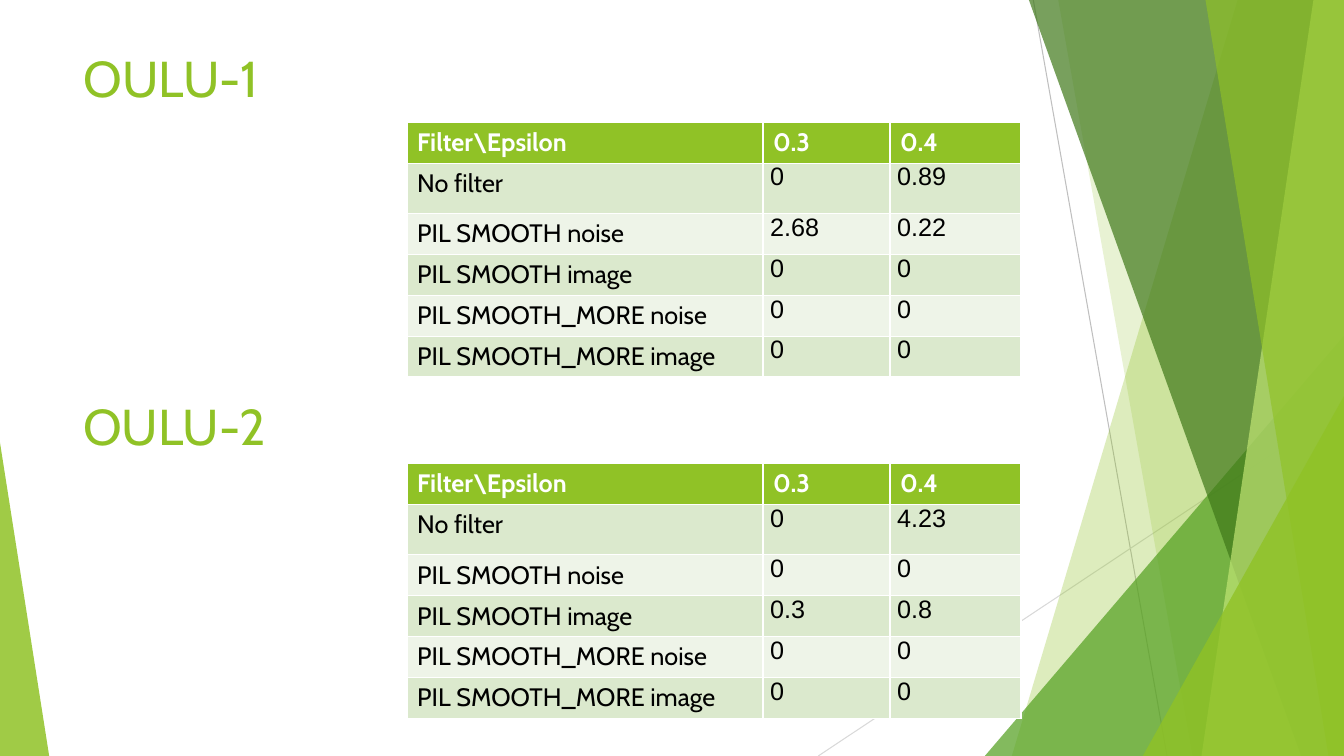
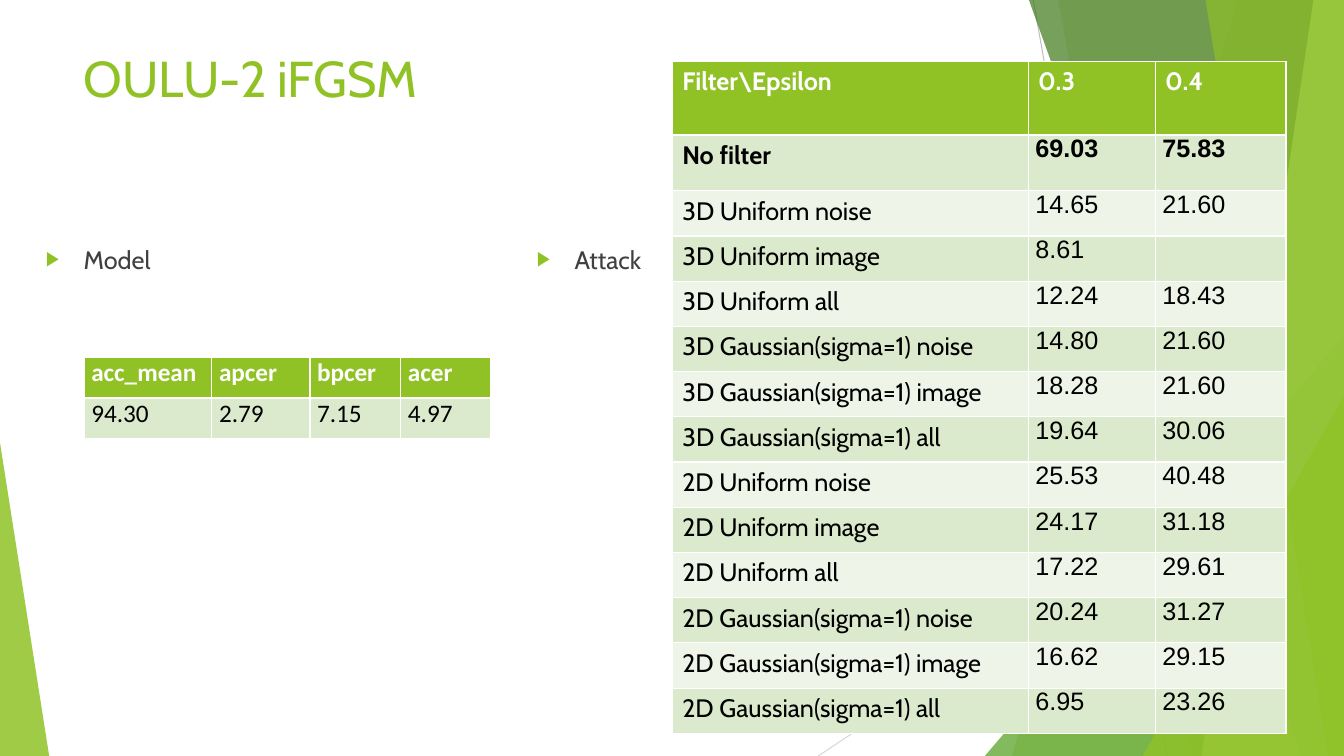
from lxml import etree
from pptx import Presentation
from pptx.dml.color import RGBColor
from pptx.enum.shapes import MSO_CONNECTOR, MSO_SHAPE
from pptx.enum.text import MSO_ANCHOR, MSO_AUTO_SIZE, PP_ALIGN
from pptx.oxml.ns import qn
from pptx.util import Cm, Pt

LINE = MSO_CONNECTOR.STRAIGHT
TRI = MSO_SHAPE.ISOSCELES_TRIANGLE
TOP = MSO_ANCHOR.TOP
LEFT = PP_ALIGN.LEFT
FIXED = MSO_AUTO_SIZE.NONE

WIDE, HIGH = 33.87, 19.05
HEX = {
    "lime": "90C226", "green": "54A021", "dark": "3F7819", "pale": "C0E474",
    "gray": "BFBFBF", "mist": "D9D9D9", "ink": "404040",
    "black": "000000", "white": "FFFFFF", "odd": "DBE9CD", "even": "EEF4E8",
}

RAYS = [
    ("gray", (26.04, 0), (29.41, HIGH)),
    ("mist", (WIDE, 10.24), (20.62, HIGH)),
]
BANDS = [
    ("band", "lime", 30, (31.19, 25.5)),
    ("band", "lime", 20, (26.67, 30.05)),
    ("tri", "green", 72, (24.82, 8.46, 9.05, 10.59, 1)),
    ("band", "dark", 70, (25.93, 32.79)),
    ("band", "pale", 70, (33.1, 30.28)),
    ("band", "lime", 65, (30.38, 33.48)),
    ("tri", "lime", 80, (28.8, 9.98, 5.07, 9.07, 1)),
    ("tri", "lime", 85, (0, 11.15, 1.24, 7.9, 0)),
]

HEAD = ("Filter\\Epsilon", "0.3", "0.4")
COLS = (8.97, 3.2, 3.3)
FIRST = [
    HEAD,
    ("No filter", "0", "0.89"),
    ("PIL SMOOTH noise", "2.68", "0.22"),
    ("PIL SMOOTH image", "0", "0"),
    ("PIL SMOOTH_MORE noise", "0", "0"),
    ("PIL SMOOTH_MORE image", "0", "0"),
]
SECOND = [
    HEAD,
    ("No filter", "0", "4.23"),
    ("PIL SMOOTH noise", "0", "0"),
    ("PIL SMOOTH image", "0.3", "0.8"),
    ("PIL SMOOTH_MORE noise", "0", "0"),
    ("PIL SMOOTH_MORE image", "0", "0"),
]
ATTACK = [
    HEAD,
    ("No filter", "69.03", "75.83"),
    ("3D Uniform noise", "14.65", "21.60"),
    ("3D Uniform image", "8.61", ""),
    ("3D Uniform all", "12.24", "18.43"),
    ("3D Gaussian(sigma=1) noise", "14.80", "21.60"),
    ("3D Gaussian(sigma=1) image", "18.28", "21.60"),
    ("3D Gaussian(sigma=1) all", "19.64", "30.06"),
    ("2D Uniform noise", "25.53", "40.48"),
    ("2D Uniform image", "24.17", "31.18"),
    ("2D Uniform all", "17.22", "29.61"),
    ("2D Gaussian(sigma=1) noise", "20.24", "31.27"),
    ("2D Gaussian(sigma=1) image", "16.62", "29.15"),
    ("2D Gaussian(sigma=1) all", "6.95", "23.26"),
]
MODEL = [
    ("acc_mean", "apcer", "bpcer", "acer"),
    ("94.30", "2.79", "7.15", "4.97"),
]

SHORT = (1.03, 1.27, 1.03)
TALL = (1.85, 1.41, 1.14)
SLIDES = [
    {
        "heads": [("OULU-1", 1.05), ("OULU-2", 9.84)],
        "grids": [
            {"at": (10.26, 3.08), "cols": COLS, "high": SHORT, "rows": FIRST},
            {"at": (10.26, 11.68), "cols": COLS, "high": SHORT, "rows": SECOND},
        ],
        "notes": [],
    },
    {
        "heads": [("OULU-2 iFGSM", 1.05)],
        "grids": [
            {"at": (16.94, 1.55), "cols": COLS, "high": TALL, "rows": ATTACK,
             "bold": (0, 1)},
            {"at": (2.12, 9), "cols": (3.22, 2.47, 2.29, 2.27), "high": SHORT[::2],
             "rows": MODEL, "font": "Calibri"},
        ],
        "notes": [("Model", 0.91), ("Attack", 13.28)],
    },
]

TITLE = {"name": "Cabin", "size": Pt(36), "bold": False}
BODY = {"name": "Cabin", "size": Pt(18), "bold": False}
FRAME = {"word_wrap": True, "auto_size": FIXED, "vertical_anchor": TOP}
TIGHT = {"margin_left": Cm(0.18), "margin_right": Cm(0.18),
         "margin_top": 0, "margin_bottom": 0}


def style(item, form):
    for key, val in form.items():
        setattr(item, key, val)


def tint(name):
    return RGBColor.from_string(HEX[name])


def write(frame, text, form, color):
    para = frame.paragraphs[0]
    para.alignment = LEFT
    run = para.add_run()
    run.text = text
    style(run.font, form)
    run.font.color.rgb = tint(color)
    return para


def place(shape, left, top, width, height):
    style(shape, {"left": Cm(left), "top": Cm(top),
                  "width": Cm(width), "height": Cm(height)})


def draw_ray(shapes, color, start, end):
    ray = shapes.add_connector(LINE, *map(Cm, start + end))
    ray.line.color.rgb = tint(color)
    ray.line.width = Pt(0.75)
    etree.SubElement(ray.element.spPr, qn("a:effectLst"))
    return ray


def draw_band(shapes, kind, color, alpha, geo):
    if kind == "tri":
        shape = shapes.add_shape(TRI, *map(Cm, geo[:4]))
        shape.adjustments[0] = geo[4]
    else:
        top, base = geo
        pen = shapes.build_freeform(Cm(top), 0)
        ends = [(WIDE, 0), (WIDE, HIGH), (base, HIGH)]
        pen.add_line_segments([(Cm(x), Cm(y)) for x, y in ends])
        shape = pen.convert_to_shape()
    shape.shadow.inherit = False
    shape.line.fill.background()
    shape.fill.solid()
    shape.fill.fore_color.rgb = tint(color)
    tone = shape.element.spPr.find(qn("a:solidFill"))[0]
    etree.SubElement(tone, qn("a:alpha"), val=str(alpha * 1000))
    return shape


def dress(layout, slide):
    parts = [draw_ray(slide.shapes, *ray) for ray in RAYS]
    parts += [draw_band(slide.shapes, *band) for band in BANDS]
    for num, part in enumerate(parts):
        part.element.xpath(".//p:cNvPr")[0].set("id", str(20 + num))
        layout.shapes.element.insert(2 + num, part.element)


def add_head(slide, num, text, top):
    box = slide.shapes.add_textbox(0, 0, 0, 0) if num else slide.shapes.title
    place(box, 1.85, top, 23.88, 3.67)
    style(box.text_frame, FRAME)
    write(box.text_frame, text, TITLE, "lime")


def add_grid(slide, at, cols, high, rows, bold=(0,), font=None):
    tall = [high[min(num, len(high) - 1)] for num in range(len(rows))]
    size = (sum(cols), sum(tall))
    frame = slide.shapes.add_table(len(rows), len(cols), *map(Cm, at + size))
    table = frame.table
    for col, width in zip(table.columns, cols):
        col.width = Cm(width)
    for num, texts in enumerate(rows):
        table.rows[num].height = Cm(tall[num])
        back = ("odd" if num % 2 else "even") if num else "lime"
        for pos, text in enumerate(texts):
            cell = table.cell(num, pos)
            cell.fill.solid()
            cell.fill.fore_color.rgb = tint(back)
            label = num == 0 or pos == 0
            if font or not label:
                style(cell, TIGHT)
            if text:
                face = font or ("Cabin" if label else "Arial")
                form = {**BODY, "name": face, "bold": num in bold}
                write(cell.text_frame, text, form, "black" if num else "white")


def add_note(slide, text, left):
    box = slide.shapes.add_textbox(0, 0, 0, 0)
    place(box, left, 6.02, 4.5, 1)
    style(box.text_frame, FRAME)
    para = write(box.text_frame, text, BODY, "ink")
    para.space_before = Pt(10)
    props = para._p.get_or_add_pPr()
    props.set("marL", str(Cm(0.95)))
    props.set("indent", str(-Cm(0.95)))
    color = etree.SubElement(props, qn("a:buClr"))
    etree.SubElement(color, qn("a:srgbClr"), val=HEX["lime"])
    etree.SubElement(props, qn("a:buSzPct"), val="80000")
    etree.SubElement(props, qn("a:buFont"), typeface="Arial")
    etree.SubElement(props, qn("a:buChar"), char="▶")


def main():
    deck = Presentation()
    style(deck, {"slide_width": Cm(WIDE), "slide_height": Cm(HIGH)})
    layout = deck.slide_layouts[5]
    for page, data in enumerate(SLIDES):
        slide = deck.slides.add_slide(layout)
        if page == 0:
            dress(layout, slide)
        for num, head in enumerate(data["heads"]):
            add_head(slide, num, *head)
        for grid in data["grids"]:
            add_grid(slide, **grid)
        for note in data["notes"]:
            add_note(slide, *note)
    deck.save("out.pptx")


if __name__ == "__main__":
    main()
